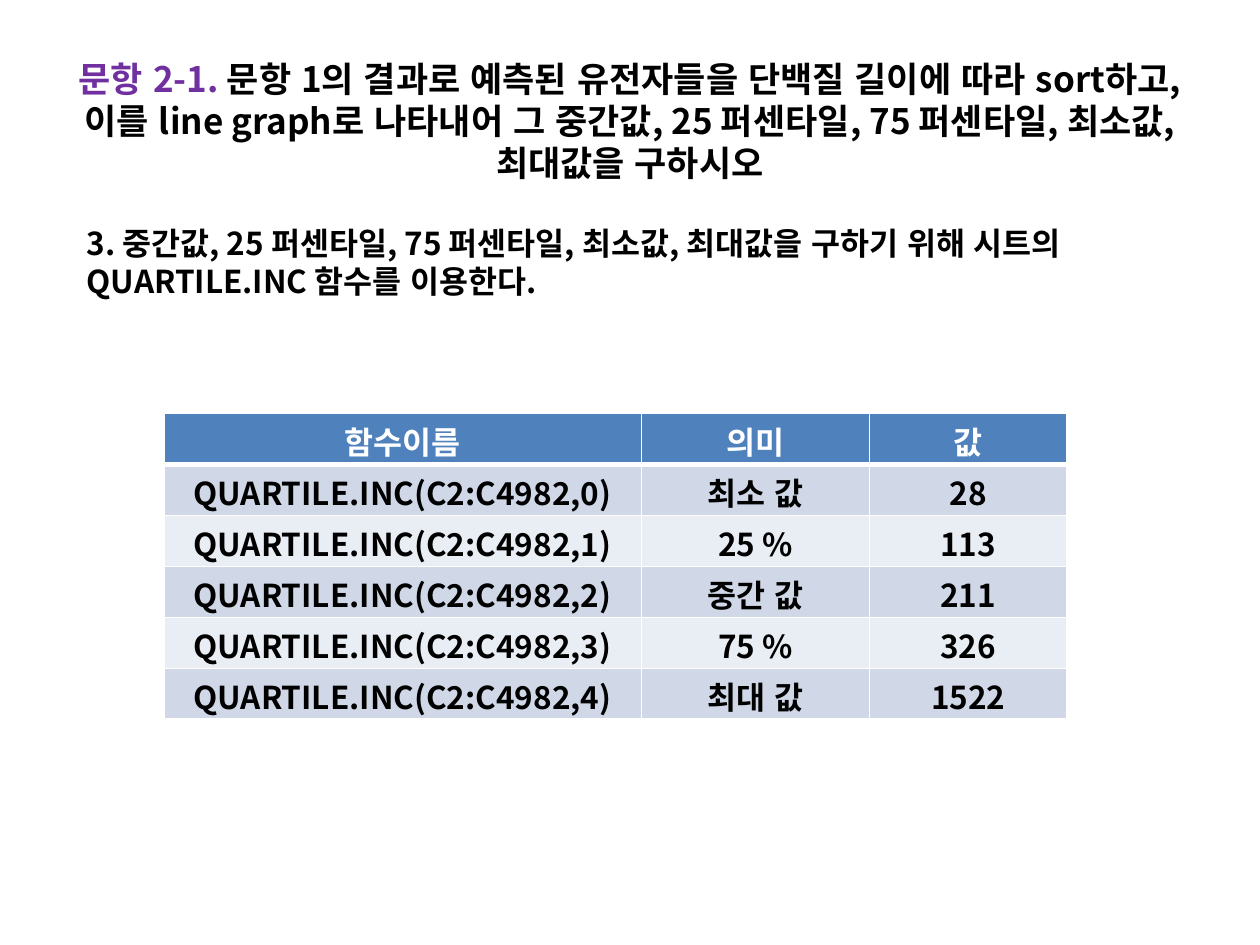
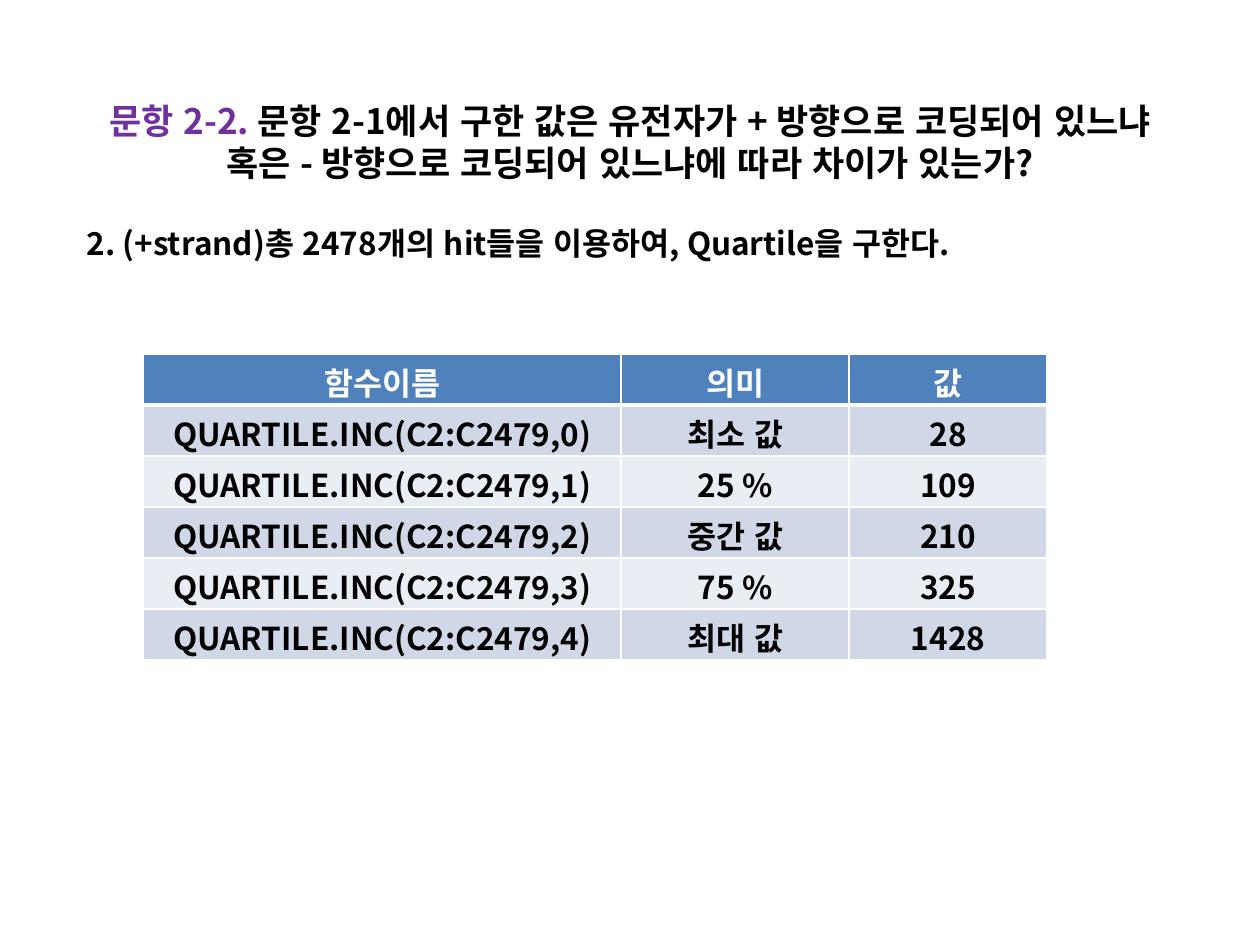
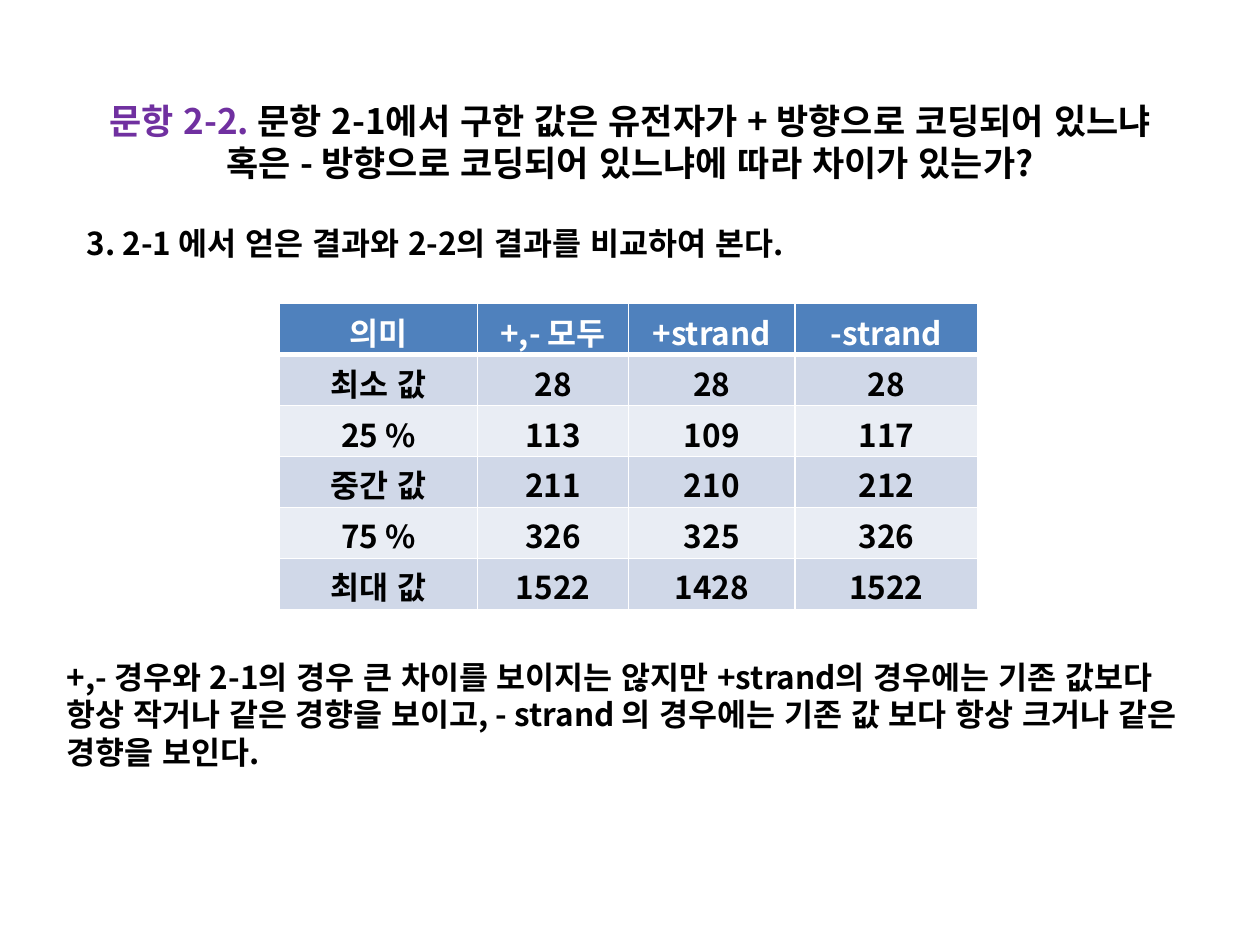
from lxml.etree import SubElement
from pptx import Presentation
from pptx.dml.color import RGBColor
from pptx.enum.lang import MSO_LANGUAGE_ID
from pptx.enum.text import MSO_ANCHOR, MSO_AUTO_SIZE, PP_ALIGN
from pptx.oxml.ns import qn
from pptx.util import Inches, Pt

# Shared look
FONT = "Noto Sans CJK KR"
PURPLE, BLACK, WHITE = "7030A0", "000000", "FFFFFF"
HEADER_FILL, BAND_FILLS = "4F81BD", ("D0D8E8", "E9EDF4")
TITLE_SIZE, TEXT_SIZE = 20, 18
LINE_FACTOR = 1.2
TITLE_LINE = TITLE_SIZE * LINE_FACTOR
TABLE_HEIGHT = 2.43
TITLE_FRAME = {"auto_size": MSO_AUTO_SIZE.NONE, "vertical_anchor": MSO_ANCHOR.MIDDLE,
               "word_wrap": True}
CELL_FORMAT = {"margin_top": Inches(0.15), "margin_bottom": 0,
               "vertical_anchor": MSO_ANCHOR.TOP}


def color(hex_value):
    return RGBColor.from_string(hex_value)


def write(para, spans, size, align, line_height):
    """Fill a paragraph with (text, colour) spans in the shared bold font."""
    para.alignment = align
    para.line_spacing = Pt(line_height)
    font_format = {"name": FONT, "size": Pt(size), "bold": True,
                   "language_id": MSO_LANGUAGE_ID.KOREAN}
    for text, hex_value in spans:
        span = para.add_run()
        span.text = text
        for key, value in font_format.items():
            setattr(span.font, key, value)
        span.font.color.rgb = color(hex_value)
        SubElement(span.font._element, qn("a:ea"), typeface=FONT)


# Content
strand_title = ("문항 2-2. ", "문항 2-1에서 구한 값은 유전자가 + 방향으로 코딩되어 있느냐 "
                "혹은 - 방향으로 코딩되어 있느냐에 따라 차이가 있는가?")
meanings = ["최소 값", "25 %", "중간 값", "75 %", "최대 값"]
all_values = [28, 113, 211, 326, 1522]
plus_values = [28, 109, 210, 325, 1428]
minus_values = [28, 117, 212, 326, 1522]
function_header = ("함수이름", "의미", "값")
function_columns = (3.79, 1.81, 1.57)
all_functions = [f"QUARTILE.INC(C2:C4982,{index})" for index in range(5)]
plus_functions = [f"QUARTILE.INC(C2:C2479,{index})" for index in range(5)]

pages = [
    {"title": ("문항 2-1. ", "문항 1의 결과로 예측된 유전자들을 단백질 길이에 따라 sort하고, "
               "이를 line graph로 나타내어 그 중간값, 25 퍼센타일, 75 퍼센타일, "
               "최소값, 최대값을 구하시오"),
     "title_lift": TITLE_LINE,
     "notes": [(0.59, 1.73, 0.71, "3. 중간값, 25 퍼센타일, 75 퍼센타일, 최소값, 최대값을 "
                "구하기 위해 시트의 QUARTILE.INC 함수를 이용한다.")],
     "table_at": (1.3, 3.28), "columns": function_columns,
     "rows": [function_header, *zip(all_functions, meanings, all_values)]},
    {"title": strand_title, "title_lift": 0,
     "notes": [(0.59, 1.73, 0.4,
                "2. (+strand)총 2478개의 hit들을 이용하여, Quartile을 구한다.")],
     "table_at": (1.14, 2.81), "columns": function_columns,
     "rows": [function_header, *zip(plus_functions, meanings, plus_values)]},
    {"title": strand_title, "title_lift": 0,
     "notes": [(0.59, 1.73, 0.4, "3. 2-1 에서 얻은 결과와 2-2의 결과를 비교하여 본다."),
               (0.43, 5.17, 1.01, "+,- 경우와 2-1의 경우 큰 차이를 보이지는 않지만 +strand의 "
                "경우에는 기존 값보다 항상 작거나 같은 경향을 보이고, - strand 의 경우에는 "
                "기존 값 보다 항상 크거나 같은 경향을 보인다.")],
     "table_at": (2.22, 2.41), "columns": (1.57, 1.2, 1.32, 1.45),
     "rows": [("의미", "+,- 모두", "+strand", "-strand"),
              *zip(meanings, all_values, plus_values, minus_values)]},
]

deck = Presentation()
deck.slide_width, deck.slide_height = Inches(10), Inches(7.5)
title_only = deck.slide_layouts[5]

for page in pages:
    slide = deck.slides.add_slide(title_only)

    # Title: purple question number, black question
    title = slide.shapes.title
    title.left, title.top = Inches(0.5), Inches(0.5)
    title.width, title.height = Inches(9), Inches(1.25)
    frame = title.text_frame
    for key, value in TITLE_FRAME.items():
        setattr(frame, key, value)
    frame.margin_bottom = Inches(0.05) + Pt(page["title_lift"])
    write(frame.paragraphs[0], zip(page["title"], (PURPLE, BLACK)),
          TITLE_SIZE, PP_ALIGN.CENTER, TITLE_LINE)

    # Explanations
    for left, top, height, text in page["notes"]:
        box = slide.shapes.add_textbox(Inches(left), Inches(top), Inches(9.13), Inches(height))
        box.text_frame.word_wrap = True
        write(box.text_frame.paragraphs[0], [(text, BLACK)],
              TEXT_SIZE, PP_ALIGN.LEFT, TEXT_SIZE * LINE_FACTOR)

    # Quartile table
    rows, columns = page["rows"], page["columns"]
    left, top = page["table_at"]
    table = slide.shapes.add_table(len(rows), len(columns), Inches(left), Inches(top),
                                   Inches(sum(columns)), Inches(TABLE_HEIGHT)).table
    for column, width in zip(table.columns, columns):
        column.width = Inches(width)
    for row_index, row in enumerate(rows):
        is_header = row_index == 0
        fill = HEADER_FILL if is_header else BAND_FILLS[(row_index - 1) % 2]
        for column_index, value in enumerate(row):
            cell = table.cell(row_index, column_index)
            for key, setting in CELL_FORMAT.items():
                setattr(cell, key, setting)
            write(cell.text_frame.paragraphs[0], [(str(value), WHITE if is_header else BLACK)],
                  TEXT_SIZE, PP_ALIGN.CENTER, TEXT_SIZE)

            # White borders, thick between header and body; they precede the fill
            properties = cell._tc.get_or_add_tcPr()
            thick_edge = {0: "a:lnB", 1: "a:lnT"}.get(row_index)
            for edge in ("a:lnL", "a:lnR", "a:lnT", "a:lnB"):
                points = 3 if edge == thick_edge else 1
                line = SubElement(properties, qn(edge), w=str(Pt(points)))
                SubElement(SubElement(line, qn("a:solidFill")), qn("a:srgbClr"), val=WHITE)
            cell.fill.solid()
            cell.fill.fore_color.rgb = color(fill)

deck.save("out.pptx")
